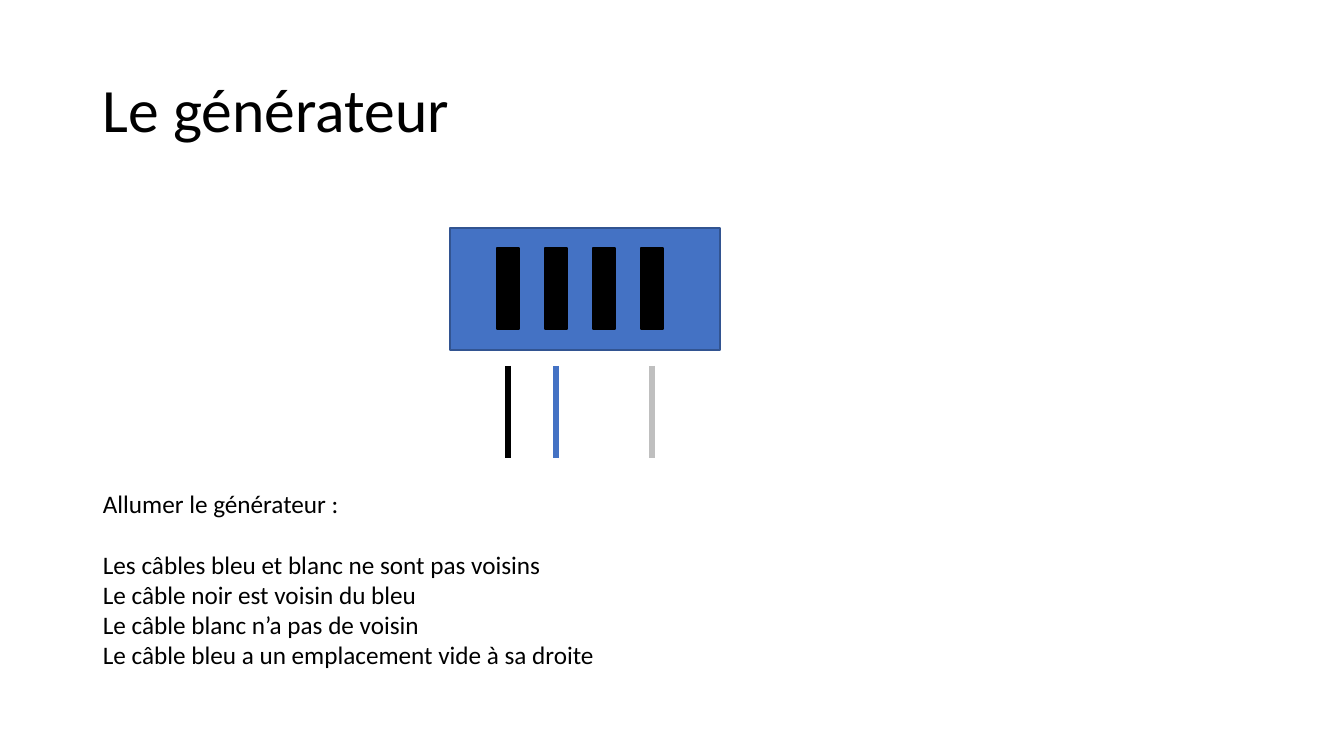
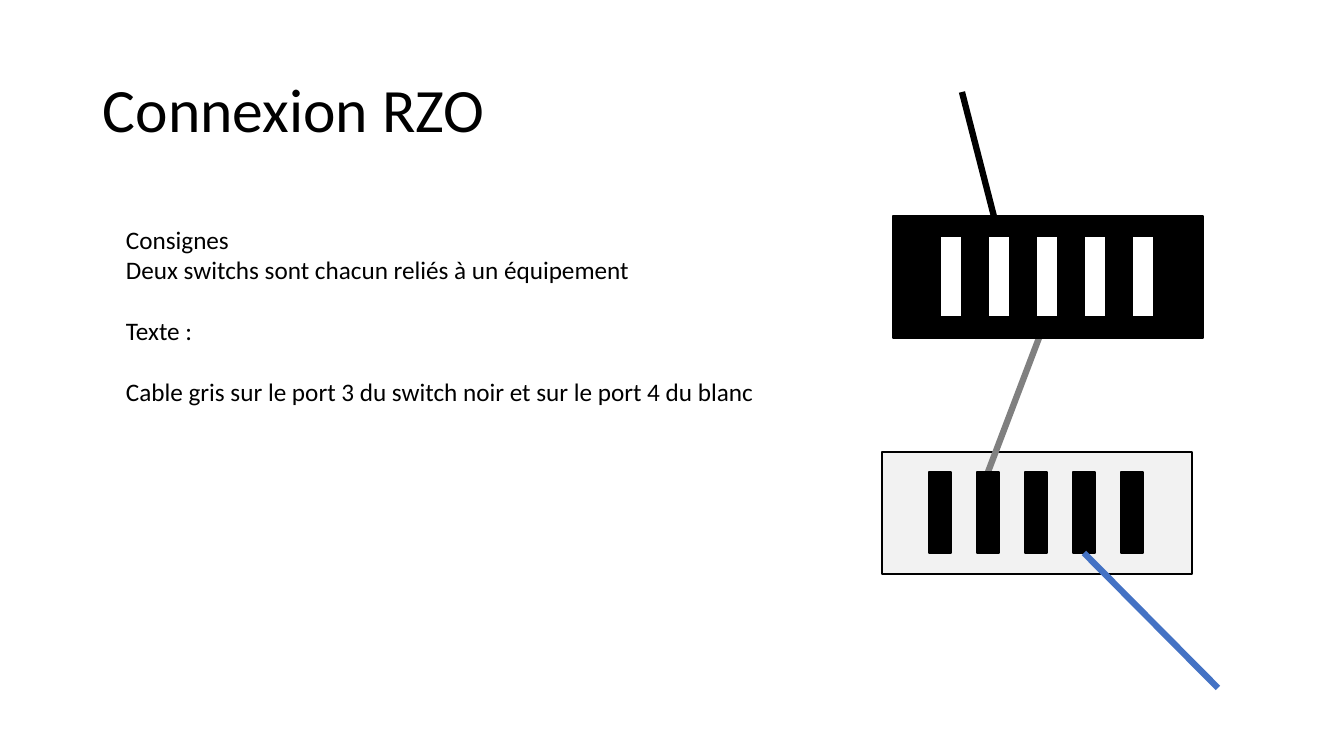
"""Builds two wiring puzzle slides: a generator and a pair of network switches."""
from dataclasses import dataclass

from lxml.etree import SubElement
from pptx import Presentation
from pptx.dml.color import RGBColor
from pptx.enum.shapes import MSO_CONNECTOR, MSO_SHAPE
from pptx.enum.text import MSO_ANCHOR, MSO_AUTO_SIZE
from pptx.oxml.ns import qn
from pptx.slide import Slide
from pptx.text.text import TextFrame
from pptx.util import Emu, Pt

EMU_PER_PIXEL = 914400 / 100.8
FONT = "Calibri"
COLORS = {
    "black": "000000",
    "white": "FFFFFF",
    "blue": "4472C4",
    "navy": "325491",
    "silver": "BFBFBF",
    "grey": "808080",
    "pale": "F2F2F2",
}
CASE_HEIGHT = 122
PORT_WIDTH, PORT_HEIGHT, PORT_PITCH = 22, 81, 48
PORT_INSET_X, PORT_INSET_Y = 47, 20


@dataclass(frozen=True)
class Device:
    """A case holding a row of ports, numbered from 1."""

    left: int
    top: int
    width: int
    ports: int
    case_color: str
    border_color: str
    port_color: str

    def port_left(self, number: int) -> int:
        return self.left + PORT_INSET_X + (number - 1) * PORT_PITCH

    def port_center(self, number: int) -> int:
        return self.port_left(number) + PORT_WIDTH // 2

    @property
    def port_top(self) -> int:
        return self.top + PORT_INSET_Y

    @property
    def port_bottom(self) -> int:
        return self.port_top + PORT_HEIGHT


@dataclass(frozen=True)
class Cable:
    """A straight cable between two points."""

    start: tuple[int, int]
    end: tuple[int, int]
    color: str


@dataclass(frozen=True)
class Instructions:
    """Lines of text, some of them preceded by a one-line gap."""

    left: int
    top: int
    width: int
    height: int
    lines: tuple[str, ...]
    gap_before: tuple[int, ...]


def px(pixels: int) -> Emu:
    """Turn pixels into EMU."""
    return Emu(round(pixels * EMU_PER_PIXEL))


def rgb(name: str) -> RGBColor:
    """Look up a named colour."""
    return RGBColor.from_string(COLORS[name])


def format_text(frame: TextFrame, size: int) -> None:
    """Apply the shared font to every run."""
    for paragraph in frame.paragraphs:
        for run in paragraph.runs:
            run.font.name = FONT
            run.font.size = Pt(size)
            run.font.color.rgb = rgb("black")


def draw_rect(slide: Slide, left: int, top: int, width: int, height: int,
              fill: str, border: str) -> None:
    """Draw a flat bordered rectangle."""
    rect = slide.shapes.add_shape(MSO_SHAPE.RECTANGLE, px(left), px(top), px(width), px(height))
    rect.shadow.inherit = False
    rect.fill.solid()
    rect.fill.fore_color.rgb = rgb(fill)
    rect.line.color.rgb = rgb(border)
    rect.line.width = Pt(1)


def draw_case(slide: Slide, device: Device) -> None:
    """Draw the body of a device."""
    draw_rect(slide, device.left, device.top, device.width, CASE_HEIGHT,
              device.case_color, device.border_color)


def draw_ports(slide: Slide, device: Device) -> None:
    """Draw the row of ports of a device."""
    for number in range(1, device.ports + 1):
        draw_rect(slide, device.port_left(number), device.port_top,
                  PORT_WIDTH, PORT_HEIGHT, device.port_color, "black")


def draw_cable(slide: Slide, cable: Cable) -> None:
    """Draw a thick line without shadow."""
    line = slide.shapes.add_connector(
        MSO_CONNECTOR.STRAIGHT, *map(px, cable.start), *map(px, cable.end))
    line.line.color.rgb = rgb(cable.color)
    line.line.width = Pt(4.5)
    SubElement(line._element.spPr, qn("a:effectLst"))


def draw_instructions(slide: Slide, instructions: Instructions) -> None:
    """Write the instructions, one paragraph a line."""
    box = slide.shapes.add_textbox(px(instructions.left), px(instructions.top),
                                   px(instructions.width), px(instructions.height))
    frame = box.text_frame
    frame.word_wrap = False
    frame.auto_size = MSO_AUTO_SIZE.SHAPE_TO_FIT_TEXT
    frame.text = "\n".join(instructions.lines)
    format_text(frame, 18)
    for index in instructions.gap_before:
        frame.paragraphs[index].space_before = Pt(22)


def add_titled_slide(deck: Presentation, title: str) -> Slide:
    """Add a blank slide with the shared title style."""
    slide = deck.slides.add_slide(deck.slide_layouts[6])
    frame = slide.shapes.add_textbox(px(93), px(40), px(1159), px(146)).text_frame
    frame.word_wrap = True
    frame.vertical_anchor = MSO_ANCHOR.MIDDLE
    frame.text = title
    frame.paragraphs[0].line_spacing = 0.9
    format_text(frame, 44)
    return slide


def build_generator(deck: Presentation) -> None:
    """Build the generator slide."""
    slide = add_titled_slide(deck, "Le générateur")
    generator = Device(450, 228, 270, 4, "blue", "navy", "black")
    draw_case(slide, generator)
    draw_instructions(slide, Instructions(93, 483, 518, 194, (
        "Allumer le générateur :",
        "Les câbles bleu et blanc ne sont pas voisins",
        "Le câble noir est voisin du bleu",
        "Le câble blanc n’a pas de voisin",
        "Le câble bleu a un emplacement vide à sa droite",
    ), (1,)))
    for port, color in ((1, "black"), (2, "blue"), (4, "silver")):
        center = generator.port_center(port)
        draw_cable(slide, Cable((center, 366), (center, 458), color))
    draw_ports(slide, generator)


def build_network(deck: Presentation) -> None:
    """Build the network connection slide."""
    slide = add_titled_slide(deck, "Connexion RZO")
    white_switch = Device(882, 452, 310, 5, "pale", "black", "black")
    black_switch = Device(893, 216, 310, 5, "black", "black", "white")
    draw_case(slide, white_switch)
    draw_instructions(slide, Instructions(116, 219, 656, 224, (
        "Consignes",
        "Deux switchs sont chacun reliés à un équipement",
        "Texte :",
        "Cable gris sur le port 3 du switch noir et sur le port 4 du blanc",
    ), (2, 3)))
    draw_cable(slide, Cable(
        (962, 92), (black_switch.port_center(2), black_switch.port_top), "black"))
    draw_cable(slide, Cable(
        (black_switch.port_center(3), black_switch.port_bottom),
        (white_switch.port_center(2), white_switch.port_top), "grey"))
    draw_ports(slide, white_switch)
    draw_case(slide, black_switch)
    draw_ports(slide, black_switch)
    draw_cable(slide, Cable(
        (white_switch.port_center(4), white_switch.port_bottom), (1218, 688), "blue"))


def main() -> None:
    """Build and save the deck."""
    deck = Presentation()
    deck.slide_width, deck.slide_height = px(1344), px(756)
    build_generator(deck)
    build_network(deck)
    deck.save("out.pptx")


main()
